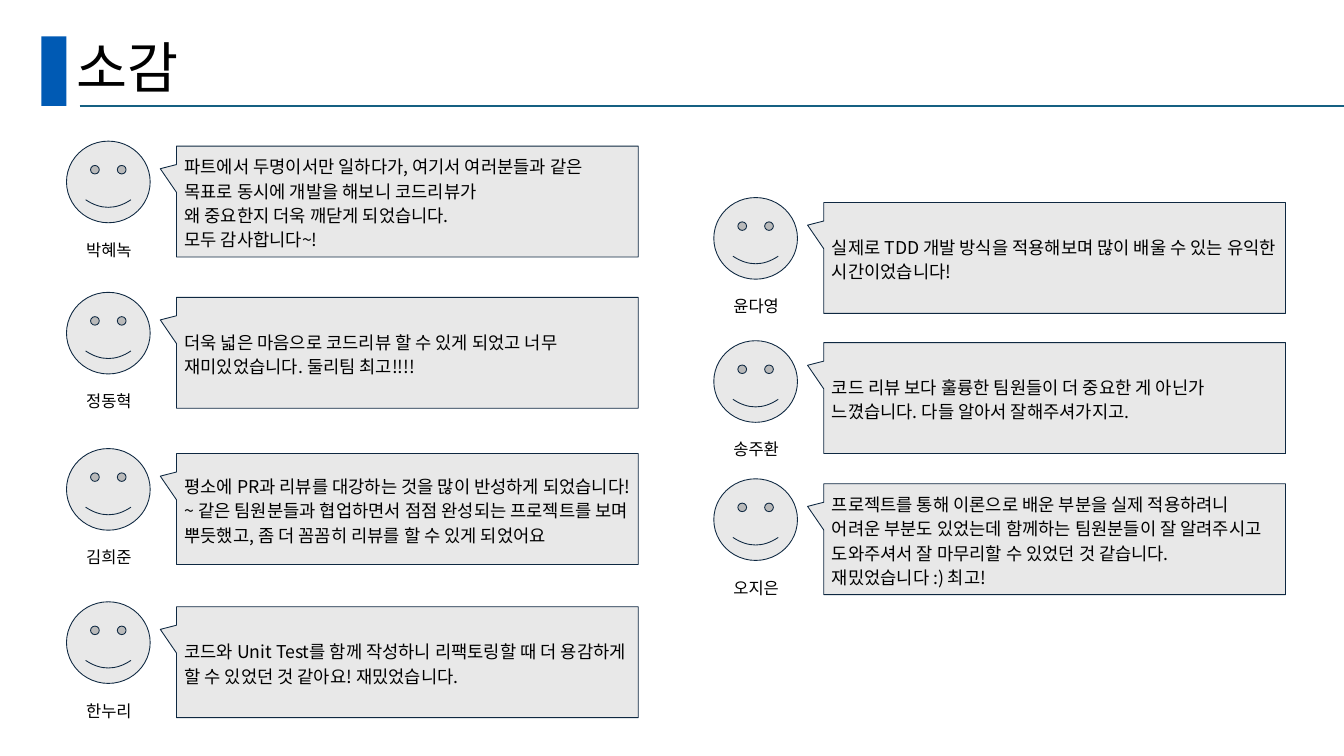
from lxml import etree
from pptx import Presentation
from pptx import util as u
from pptx.dml.color import RGBColor
from pptx.enum import shapes, text
from pptx.oxml import ns

TITLE = "소감"
# Each column: left edge, then (name, face top, bubble top, comment)
COLUMNS = [
    (0.66, [
        ("박혜녹", 1.40, 1.45,
         "파트에서 두명이서만 일하다가, 여기서 여러분들과 같은 목표로 동시에 개발을 해보니 코드리뷰가 \v"
         "왜 중요한지 더욱 깨닫게 되었습니다. \v모두 감사합니다~!"),
        ("정동혁", 2.90, 2.95,
         "더욱 넓은 마음으로 코드리뷰 할 수 있게 되었고 너무 재미있었습니다. 둘리팀 최고!!!!"),
        ("김희준", 4.45, 4.50,
         "평소에 PR과 리뷰를 대강하는 것을 많이 반성하게 되었습니다!~ 같은 팀원분들과 협업하면서 "
         "점점 완성되는 프로젝트를 보며 뿌듯했고, 좀 더 꼼꼼히 리뷰를 할 수 있게 되었어요"),
        ("한누리", 5.97, 6.02,
         "코드와 Unit Test를 함께 작성하니 리팩토링할 때 더 용감하게 할 수 있었던 것 같아요! 재밌었습니다."),
    ]),
    (7.08, [
        ("윤다영", 1.96, 2.01,
         "실제로 TDD 개발 방식을 적용해보며 많이 배울 수 있는 유익한 시간이었습니다!"),
        ("송주환", 3.38, 3.40,
         "코드 리뷰 보다 훌륭한 팀원들이 더 중요한 게 아닌가 느꼈습니다. 다들 알아서 잘해주셔가지고."),
        ("오지은", 4.75, 4.80,
         "프로젝트를 통해 이론으로 배운 부분을 실제 적용하려니 어려운 부분도 있었는데 함께하는 "
         "팀원분들이 잘 알려주시고 도와주셔서 잘 마무리할 수 있었던 것 같습니다. 재밌었습니다 :) 최고!"),
    ]),
]

FONT = "Noto Sans CJK KR"
BLACK = RGBColor(0x00, 0x00, 0x00)
BLUE = RGBColor(0x00, 0x5A, 0xB4)
TEAL = RGBColor(0x15, 0x60, 0x82)
NAVY = RGBColor(0x0E, 0x28, 0x41)
GRAY = RGBColor(0xE8, 0xE8, 0xE8)

FACE_SIZE = (0.83, 0.81)
BUBBLE_SIZE = (4.58, 1.1)
NAME_SIZE = (0.68, 0.37)
BUBBLE_OFFSET = 1.09
NAME_OFFSET = (0.08, 0.9)


def inches(*lengths):
    return [u.Inches(length) for length in lengths]


def write(shape, content, size, align, anchor, margin=0.08):
    frame = shape.text_frame
    frame.word_wrap = True
    frame.vertical_anchor = anchor
    frame.margin_left = frame.margin_right = u.Inches(margin)
    frame.margin_top = frame.margin_bottom = u.Inches(min(margin, 0.08))
    paragraph = frame.paragraphs[0]
    paragraph.text = content
    paragraph.alignment = align
    for run in paragraph.runs:
        run.font.size = u.Pt(size)
        run.font.color.rgb = BLACK
        run.font.name = FONT
        east_asian = etree.SubElement(run.font._element, ns.qn("a:ea"))
        east_asian.set("typeface", FONT)
    return paragraph


def add_filled(slide, kind, left, top, size, fill, line=None, adjustments=()):
    shape = slide.shapes.add_shape(kind, *inches(left, top, *size))
    shape.shadow.inherit = False
    shape.fill.solid()
    shape.fill.fore_color.rgb = fill
    if line is None:
        shape.line.fill.background()
    else:
        shape.line.color.rgb = line
        shape.line.width = u.Pt(0.63)
    for index, value in enumerate(adjustments):
        shape.adjustments[index] = value
    return shape


def add_comment(slide, left, name, face_top, bubble_top, comment):
    kinds = shapes.MSO_SHAPE
    add_filled(slide, kinds.SMILEY_FACE, left, face_top, FACE_SIZE, GRAY, NAVY, [0.047])
    bubble = add_filled(slide, kinds.ROUNDED_RECTANGULAR_CALLOUT, left + BUBBLE_OFFSET,
                        bubble_top, BUBBLE_SIZE, GRAY, NAVY, [-0.535, -0.296, 0])
    paragraph = write(bubble, comment, 12.6, text.PP_ALIGN.LEFT, text.MSO_ANCHOR.MIDDLE)
    paragraph.line_spacing = 1.15
    paragraph.space_before = u.Pt(8.4)
    label = slide.shapes.add_textbox(
        *inches(left + NAME_OFFSET[0], face_top + NAME_OFFSET[1], *NAME_SIZE))
    write(label, name, 11.8, text.PP_ALIGN.CENTER, text.MSO_ANCHOR.TOP)


def main():
    presentation = Presentation()
    presentation.slide_width, presentation.slide_height = inches(13.33, 7.5)
    slide = presentation.slides.add_slide(presentation.slide_layouts[5])

    # Title with its bar and rule
    title = slide.shapes.title
    title.left, title.top, title.width, title.height = inches(0.66, 0.34, 11.5, 0.71)
    paragraph = write(title, TITLE, 39.6, text.PP_ALIGN.LEFT, text.MSO_ANCHOR.MIDDLE, 0.1)
    title.text_frame.margin_top = title.text_frame.margin_bottom = u.Inches(0.05)
    title.text_frame.auto_size = text.MSO_AUTO_SIZE.NONE
    paragraph.line_spacing = 0.9
    add_filled(slide, shapes.MSO_SHAPE.RECTANGLE, 0.41, 0.36, (0.25, 0.69), BLUE)
    rule = slide.shapes.add_connector(
        shapes.MSO_CONNECTOR.STRAIGHT, *inches(0.79, 1.05, 13.33, 1.05))
    rule.line.color.rgb = TEAL
    rule.line.width = u.Pt(1.5)
    etree.SubElement(rule._element.spPr, ns.qn("a:effectLst"))

    # Team comments
    for left, comments in COLUMNS:
        for entry in comments:
            add_comment(slide, left, *entry)

    presentation.save("out.pptx")


if __name__ == "__main__":
    main()
